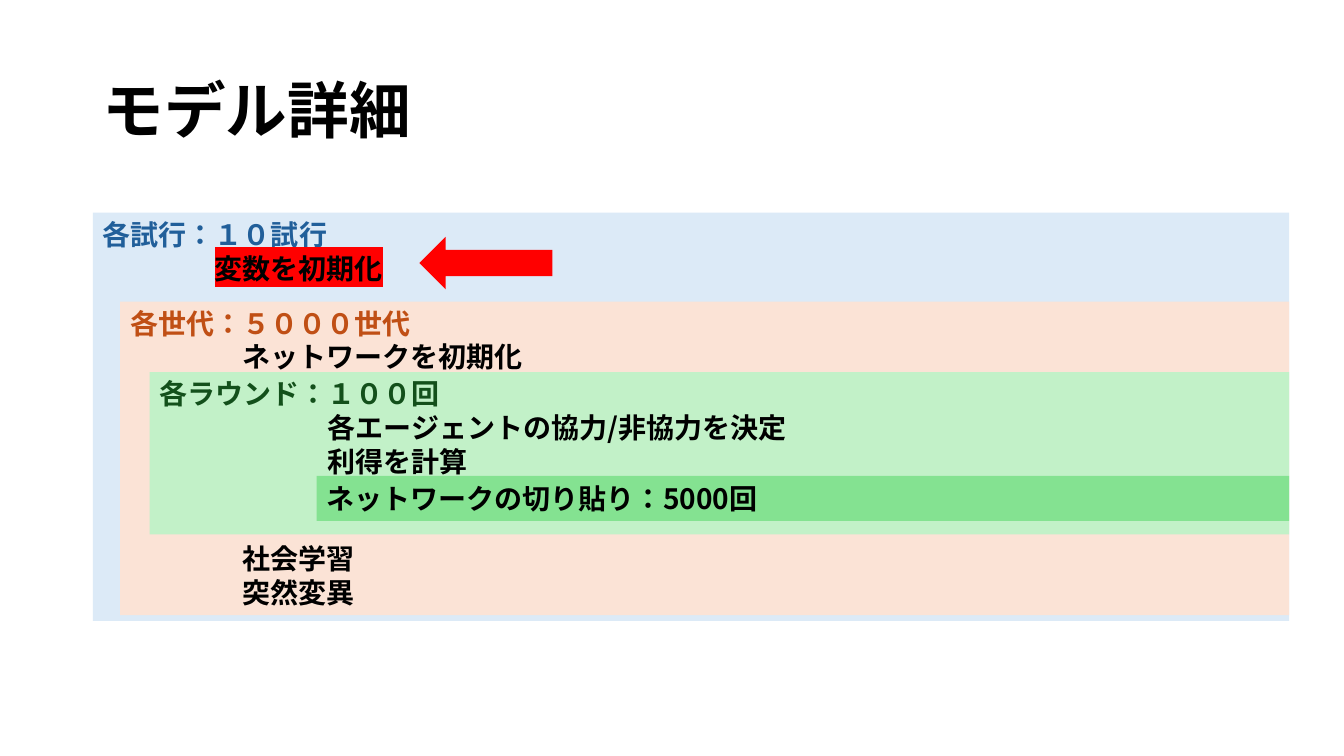
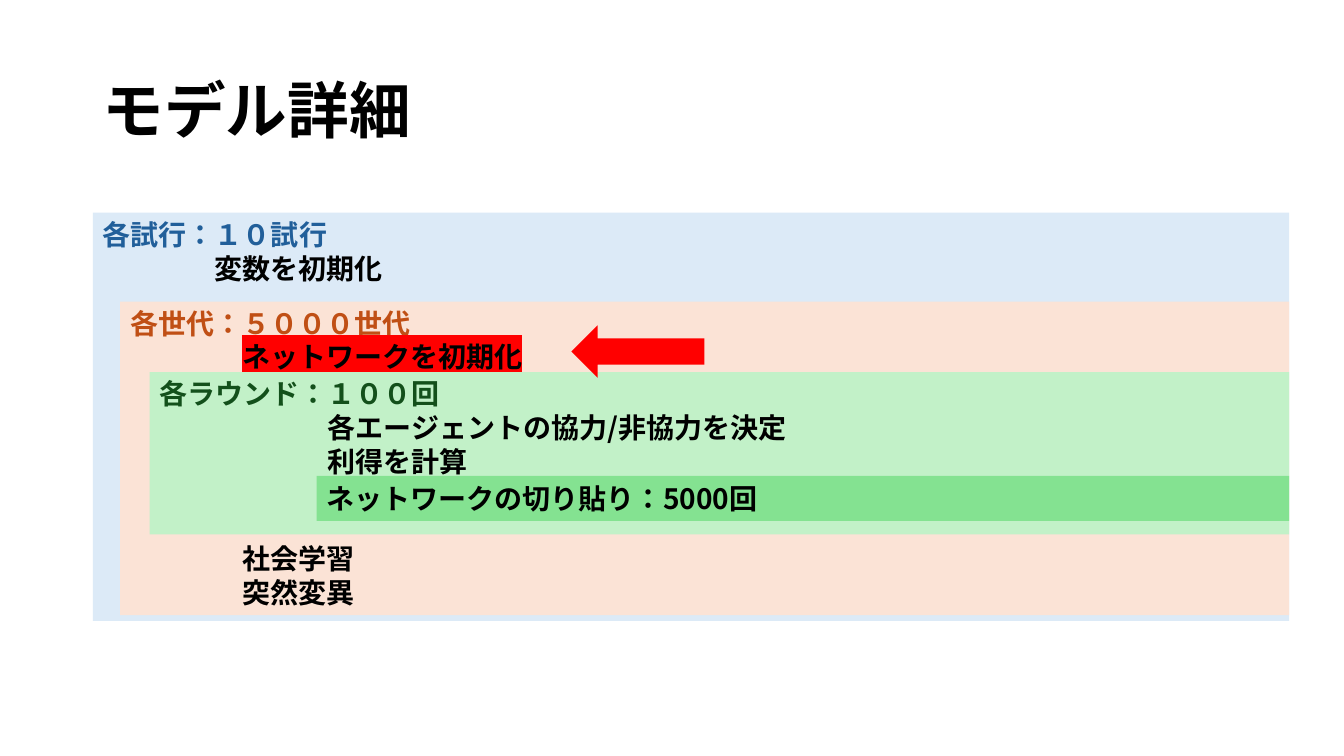
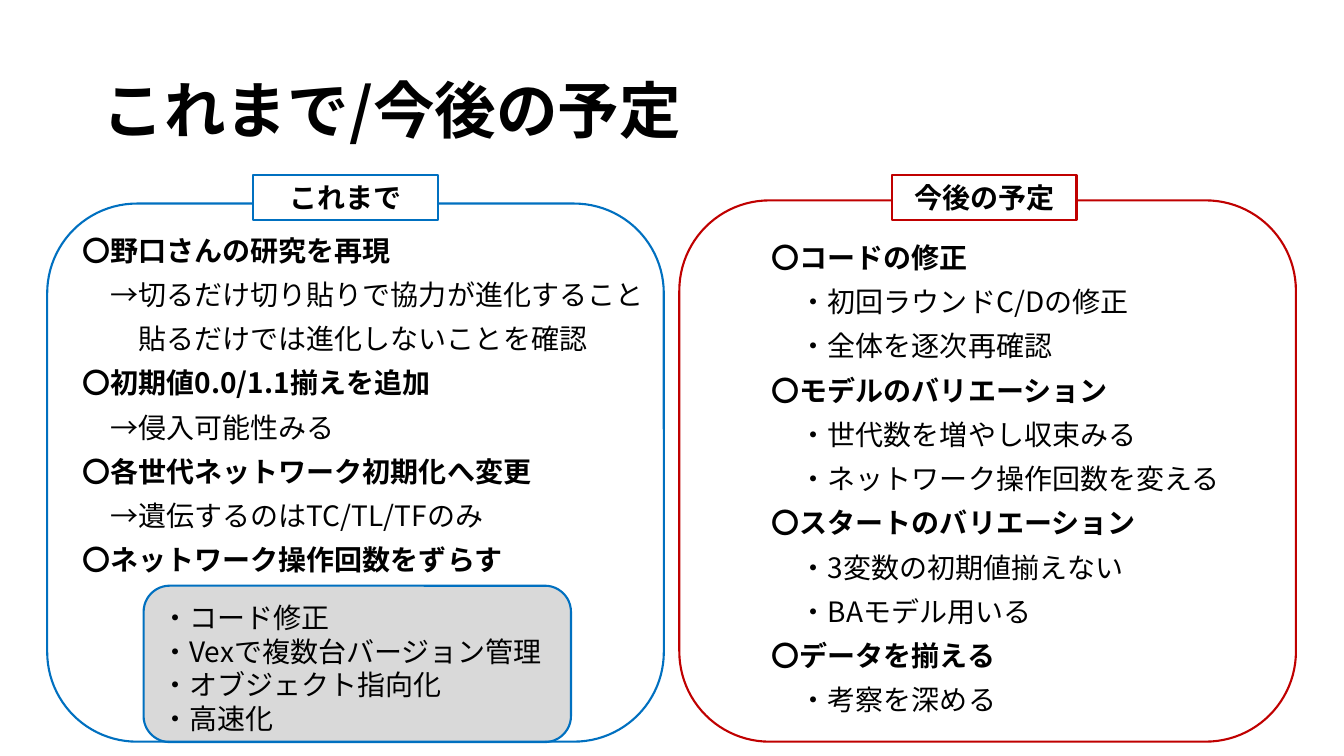
from lxml import etree
from pptx import Presentation
from pptx.dml.color import RGBColor
from pptx.enum import lang, shapes, text
from pptx.oxml.ns import qn
from pptx.util import Cm, Pt

FONT = "Noto Sans CJK JP"
BLACK = RGBColor(0x00, 0x00, 0x00)
WHITE = RGBColor(0xFF, 0xFF, 0xFF)
RED = RGBColor(0xFF, 0x00, 0x00)
GRAY = RGBColor(0xD9, 0xD9, 0xD9)
PAST = RGBColor(0x00, 0x70, 0xC0)
FUTURE = RGBColor(0xC0, 0x00, 0x00)
TRIAL_FILL, TRIAL_TEXT = RGBColor(0xDC, 0xEA, 0xF7), RGBColor(0x21, 0x5F, 0x9A)
AGE_FILL, AGE_TEXT = RGBColor(0xFB, 0xE3, 0xD6), RGBColor(0xC0, 0x4F, 0x15)
ROUND_FILL, ROUND_TEXT = RGBColor(0xC2, 0xF1, 0xC8), RGBColor(0x13, 0x50, 0x1B)
REWIRE_FILL = RGBColor(0x84, 0xE2, 0x91)

BODY_SIZE = 20
LOOP_RIGHT = 32.49
INIT_VARIABLES = "変数を初期化"
INIT_NETWORK = "ネットワークを初期化"


def write(para, words, size=BODY_SIZE, color=BLACK, bold=False, pitch=24,
          before=0, indent=0, align=None, highlight=None):
    """Fill a paragraph; indent counts full-width characters."""
    para.line_spacing = Pt(pitch)
    para.space_before = Pt(before)
    para.alignment = align
    properties = para._p.get_or_add_pPr()
    properties.set("marL", str(Pt(indent * size)))
    properties.set("indent", "0")
    span = para.add_run()
    span.text = words
    font = span.font
    font.size, font.bold, font.name = Pt(size), bold, FONT
    font.language_id = lang.MSO_LANGUAGE_ID.JAPANESE
    font.color.rgb = color
    latin = font._element.find(qn("a:latin"))
    east_asian = etree.Element(qn("a:ea"), typeface=FONT)
    latin.addnext(east_asian)
    if highlight is not None:
        mark = etree.Element(qn("a:highlight"))
        etree.SubElement(mark, qn("a:srgbClr"), val=str(highlight))
        latin.addprevious(mark)


class Slides:
    """Shared style and the slide being filled."""

    def __init__(self):
        self.deck = Presentation()
        self.deck.slide_width, self.deck.slide_height = Cm(33.87), Cm(19.05)
        self.page = None

    def start(self, title):
        self.page = self.deck.slides.add_slide(self.deck.slide_layouts[6])
        self.lines(2.34, 1.02, 29.21, 3.68, [(title, {})], size=44, bold=True,
                   pitch=46, anchor=text.MSO_ANCHOR.MIDDLE)

    def shape(self, kind, left, top, width, height, fill=None, line=None):
        box = self.page.shapes.add_shape(
            kind, Cm(left), Cm(top), Cm(width), Cm(height))
        box.shadow.inherit = False
        if fill is None:
            box.fill.background()
        else:
            box.fill.solid()
            box.fill.fore_color.rgb = fill
        if line is None:
            box.line.fill.background()
        else:
            box.line.color.rgb = line
            box.line.width = Pt(1.5)
        return box

    def fill_text(self, box, lines, anchor=text.MSO_ANCHOR.TOP, **style):
        """Write (words, own format) pairs over a common style."""
        frame = box.text_frame
        frame.word_wrap = True
        frame.vertical_anchor = anchor
        frame.margin_top = Cm(0.12)
        for number, (words, own) in enumerate(lines):
            para = frame.add_paragraph() if number else frame.paragraphs[0]
            write(para, words, **{**style, **own})

    def lines(self, left, top, width, height, lines, **style):
        box = self.page.shapes.add_textbox(
            Cm(left), Cm(top), Cm(width), Cm(height))
        self.fill_text(box, lines, **style)

    def loop(self, left, top, height, fill, lines, **style):
        """A nested band; all bands share their right edge."""
        box = self.shape(shapes.MSO_SHAPE.RECTANGLE, left, top,
                         LOOP_RIGHT - left, height, fill)
        self.fill_text(box, lines, bold=True, align=text.PP_ALIGN.LEFT, **style)

    def arrow(self, left, top):
        self.shape(shapes.MSO_SHAPE.LEFT_ARROW, left, top, 3.35, 1.32, RED)

    def outline(self, left, top, height, color):
        self.shape(shapes.MSO_SHAPE.ROUNDED_RECTANGLE, left, top, 15.54, height,
                   line=color)

    def label(self, left, words, color):
        box = self.shape(shapes.MSO_SHAPE.RECTANGLE, left, 4.42, 4.65, 1.12,
                         WHITE, color)
        self.fill_text(box, [(words, {})], bold=True,
                       align=text.PP_ALIGN.CENTER,
                       anchor=text.MSO_ANCHOR.MIDDLE)

    def topics(self, left, top, width, height, topics):
        """Bold topics, each with its (indent, words) details."""
        lines = []
        for topic, details in topics:
            lines.append((topic, {"bold": True, "before": 10}))
            lines += [(words, {"indent": indent, "before": 10})
                      for indent, words in details]
        lines[0][1]["before"] = 0
        self.lines(left, top, width, height, lines, pitch=21.6)


def model_slide(slides, current, arrow_left, arrow_top):
    def step(words, indent=4, **own):
        mark = RED if words == current else None
        return words, {"indent": indent, "highlight": mark, **own}

    slides.start("モデル詳細")
    # Nested loops, outermost first
    slides.loop(2.34, 5.36, 10.29, TRIAL_FILL, [
        ("各試行：１０試行", {"color": TRIAL_TEXT}),
        step(INIT_VARIABLES)])
    slides.loop(3.03, 7.6, 7.9, AGE_FILL, [
        ("各世代：５０００世代", {"color": AGE_TEXT}),
        step(INIT_NETWORK),
        step("社会学習", before=120),
        step("突然変異")])
    slides.loop(3.77, 9.38, 4.09, ROUND_FILL, [
        ("各ラウンド：１００回", {"color": ROUND_TEXT}),
        step("各エージェントの協力/非協力を決定", 6),
        step("利得を計算", 6)])
    slides.loop(7.98, 11.99, 1.14, REWIRE_FILL,
                [("ネットワークの切り貼り：5000回", {})],
                anchor=text.MSO_ANCHOR.MIDDLE)
    # Pointer to the current step
    slides.arrow(arrow_left, arrow_top)


def plan_slide(slides):
    slides.start("これまで/今後の予定")
    # Work so far
    slides.shape(shapes.MSO_SHAPE.ROUNDED_RECTANGLE, 3.62, 14.76, 10.77, 3.94,
                 GRAY, PAST)
    slides.lines(3.81, 15.01, 10.77, 3.68, [
        (words, {}) for words in (
            "・コード修正", "・Vexで複数台バージョン管理",
            "・オブジェクト指向化", "・高速化")])
    slides.outline(1.19, 5.13, 13.56, PAST)
    slides.label(6.38, "これまで", PAST)
    slides.topics(1.83, 5.84, 14.94, 8.94, [
        ("〇野口さんの研究を再現", [
            (1, "→切るだけ切り貼りで協力が進化すること"),
            (2, "貼るだけでは進化しないことを確認")]),
        ("〇初期値0.0/1.1揃えを追加", [(1, "→侵入可能性みる")]),
        ("〇各世代ネットワーク初期化へ変更", [
            (1, "→遺伝するのはTC/TL/TFのみ")]),
        ("〇ネットワーク操作回数をずらす", [])])
    # Work to come
    slides.outline(17.12, 5.05, 13.64, FUTURE)
    slides.label(22.48, "今後の予定", FUTURE)
    slides.topics(19.2, 6.02, 13.18, 12.32, [
        ("〇コードの修正", [
            (1, "・初回ラウンドC/Dの修正"), (1, "・全体を逐次再確認")]),
        ("〇モデルのバリエーション", [
            (1, "・世代数を増やし収束みる"),
            (1, "・ネットワーク操作回数を変える")]),
        ("〇スタートのバリエーション", [
            (1, "・3変数の初期値揃えない"), (1, "・BAモデル用いる")]),
        ("〇データを揃える", [(1, "・考察を深める")])])


def main():
    slides = Slides()
    model_slide(slides, INIT_VARIABLES, 10.57, 5.97)
    model_slide(slides, INIT_NETWORK, 14.4, 8.2)
    plan_slide(slides)
    slides.deck.save("out.pptx")


if __name__ == "__main__":
    main()
